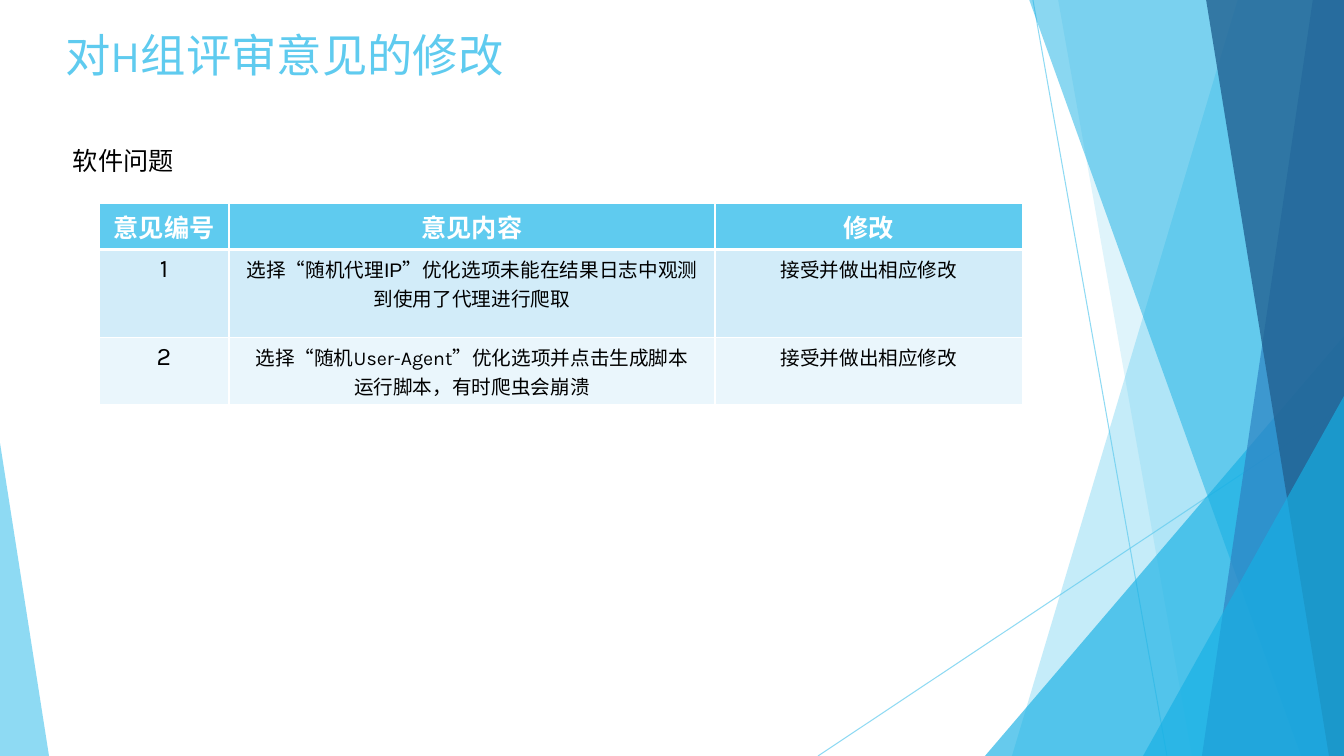
from pptx import Presentation
from pptx.dml.color import RGBColor
from pptx.enum.shapes import MSO_CONNECTOR, MSO_SHAPE
from pptx.enum.text import MSO_ANCHOR, MSO_AUTO_SIZE, PP_ALIGN
from pptx.oxml.ns import qn
from pptx.util import Emu, Pt
from lxml.etree import SubElement

SCALE = 914400 / 100.8
WIDTH, HEIGHT = 1344, 756
SKY, CYAN, BLUE, NAVY = "5FCBEF", "17B0E4", "2E83C3", "226292"
WHITE, BLACK = "FFFFFF", "000000"

LINES = [(1033, 0, 1167, HEIGHT), (WIDTH, 406, 818, HEIGHT)]
BACK_BANDS = [(1238, 1012, SKY, 36), (1058, 1192, SKY, 20)]
FRONT_BANDS = [(1029, 1301, CYAN, 50), (1313, 1202, BLUE, 70), (1206, 1329, NAVY, 80)]
WIDE_TRIANGLE = (985, 336, 359, 420, 1, CYAN, 66)
NARROW_TRIANGLE = (1143, 396, 201, 360, 1, CYAN, 66)
LEFT_TRIANGLE = (0, 443, 49, 313, 0, SKY, 70)

COLUMNS = [130, 486, 308]
ROW_HEIGHTS = [44, 88, 62]
ROW_FILLS = [SKY, "D2ECF9", "EAF6FC"]
ACCEPTED = [[("接受并做出相应修改", "Karla")]]
HEADER = [[[(label, "Karla")]] for label in ("意见编号", "意见内容", "修改")]
ROWS = [
    HEADER,
    [[[("1", "Karla")]],
     [[("选择“随机代理IP”优化选项", "Arial"),
       ("未能在结果日志中观测到使用了代理进行爬取", "Karla")]],
     ACCEPTED],
    [[[("2", "Karla")]],
     [[("选择“随机User-Agent”优化选项并点击生成脚本", "Karla")],
      [("运行脚本，有时爬虫会崩溃", "Karla")]],
     ACCEPTED],
]


def px(*values):
    return [Emu(round(v * SCALE)) for v in values]


def rgb(color):
    return RGBColor.from_string(color)


def style(obj, **values):
    for name, value in values.items():
        setattr(obj, name, value)


def fade(sp, alpha):
    for clr in sp.element.xpath(".//a:srgbClr"):
        SubElement(clr, qn("a:alpha"), val=str(alpha * 1000))


def paint(sp, color, alpha):
    sp.shadow.inherit = False
    sp.fill.solid()
    sp.fill.fore_color.rgb = rgb(color)
    sp.line.fill.background()
    fade(sp, alpha)


def add_line(s, x1, y1, x2, y2):
    line = s.shapes.add_connector(MSO_CONNECTOR.STRAIGHT, *px(x1, y1, x2, y2))
    line.line.color.rgb = rgb(SKY)
    line.line.width = Pt(0.75)
    SubElement(line.element.spPr, qn("a:effectLst"))
    fade(line, 70)


def add_band(s, top, bottom, color, alpha):
    builder = s.shapes.build_freeform(top, -1, scale=SCALE)
    builder.add_line_segments([(WIDTH, -1), (WIDTH, HEIGHT), (bottom, HEIGHT)])
    paint(builder.convert_to_shape(), color, alpha)


def add_triangle(s, x, y, w, h, apex, color, alpha):
    sp = s.shapes.add_shape(MSO_SHAPE.ISOSCELES_TRIANGLE, *px(x, y, w, h))
    sp.adjustments[0] = apex
    paint(sp, color, alpha)


def write(tf, paragraphs, size, color, align=PP_ALIGN.LEFT, bold=False):
    for i, runs in enumerate(paragraphs):
        p = tf.add_paragraph() if i else tf.paragraphs[0]
        p.alignment = align
        for text, font in runs:
            r = p.add_run()
            r.text = text
            style(r.font, name=font, size=Pt(size), bold=bold)
            r.font.color.rgb = rgb(color)


def add_title(s, text):
    title = s.shapes.title
    style(title, **dict(zip(("left", "top", "width", "height"), px(55, 31, 565, 47))))
    style(title.text_frame, word_wrap=True, auto_size=MSO_AUTO_SIZE.NONE,
          vertical_anchor=MSO_ANCHOR.MIDDLE)
    write(title.text_frame, [[(text, "Karla")]], 32.4, SKY)


def add_label(s, text):
    tf = s.shapes.add_textbox(*px(63, 140, 337, 41)).text_frame
    style(tf, word_wrap=True, auto_size=MSO_AUTO_SIZE.SHAPE_TO_FIT_TEXT)
    write(tf, [[(text, "Karla")]], 18, BLACK)


def set_borders(cell, **widths):
    tc_pr = cell._tc.get_or_add_tcPr()
    for side in "LRTB":
        ln = SubElement(tc_pr, qn(f"a:ln{side}"), w=str(Pt(widths.get(side, 1))))
        SubElement(SubElement(ln, qn("a:solidFill")), qn("a:srgbClr"), val=WHITE)


def add_comments_table(s):
    frame = s.shapes.add_table(len(ROWS), len(COLUMNS),
                               *px(99, 203, sum(COLUMNS), sum(ROW_HEIGHTS)))
    table = frame.table
    table.horz_banding = False
    for column, width in zip(table.columns, px(*COLUMNS)):
        column.width = width
    for row, height in zip(table.rows, px(*ROW_HEIGHTS)):
        row.height = height
    for i, contents in enumerate(ROWS):
        for j, paragraphs in enumerate(contents):
            cell = table.cell(i, j)
            set_borders(cell, T=3 if i == 1 else 1, B=3 if i == 0 else 1)
            cell.fill.solid()
            cell.fill.fore_color.rgb = rgb(ROW_FILLS[i])
            size = 18 if i == 0 or j == 0 else 14
            write(cell.text_frame, paragraphs, size, BLACK if i else WHITE,
                  PP_ALIGN.CENTER, i == 0)


def add_decoration(s):
    for line in LINES:
        add_line(s, *line)
    for band in BACK_BANDS:
        add_band(s, *band)
    add_triangle(s, *WIDE_TRIANGLE)
    for band in FRONT_BANDS:
        add_band(s, *band)
    for triangle in (NARROW_TRIANGLE, LEFT_TRIANGLE):
        add_triangle(s, *triangle)


def main():
    prs = Presentation()
    prs.slide_width, prs.slide_height = px(WIDTH, HEIGHT)
    s = prs.slides.add_slide(prs.slide_layouts[5])
    add_decoration(s)
    add_title(s, "对H组评审意见的修改")
    add_comments_table(s)
    add_label(s, "软件问题")
    prs.save("out.pptx")


main()
